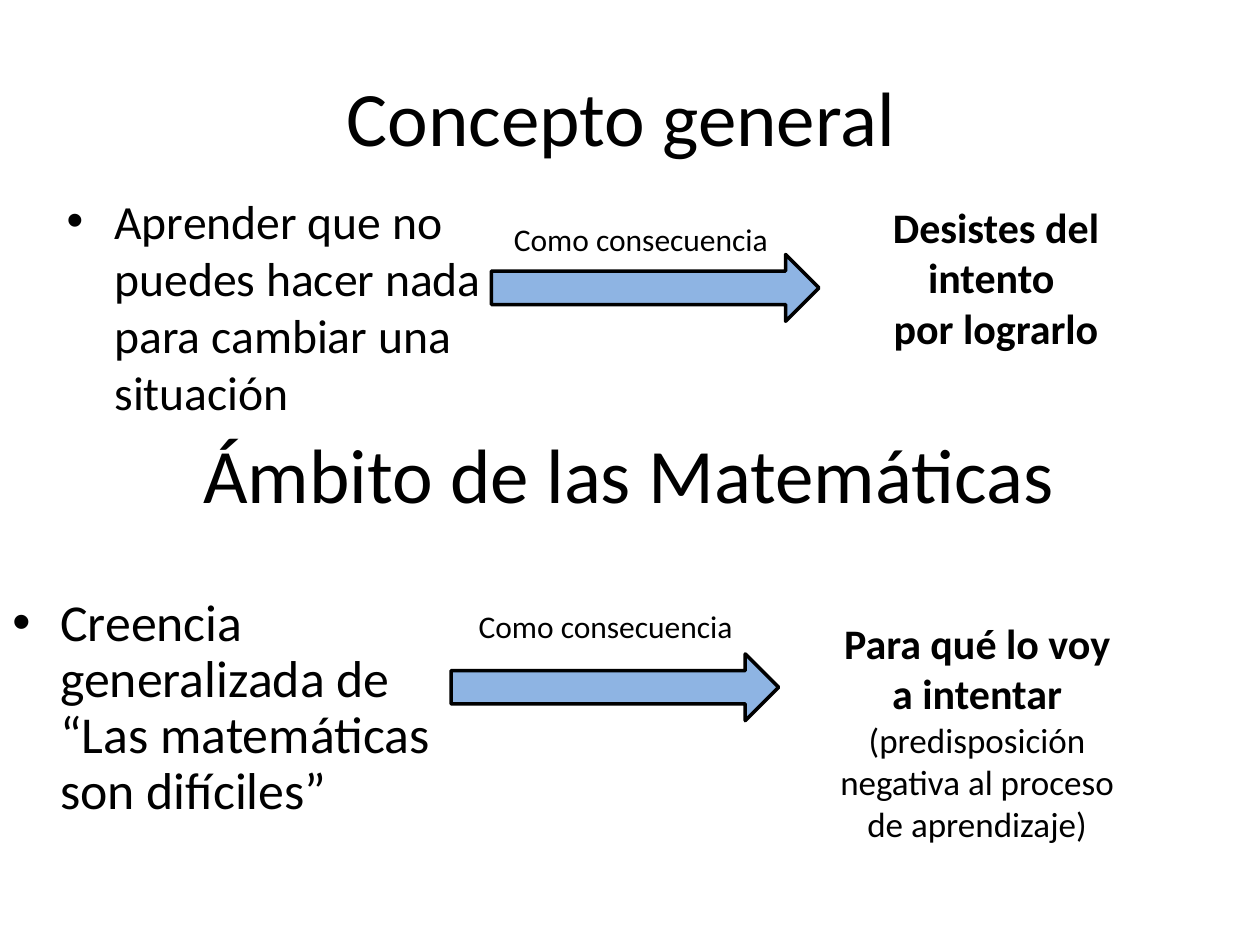
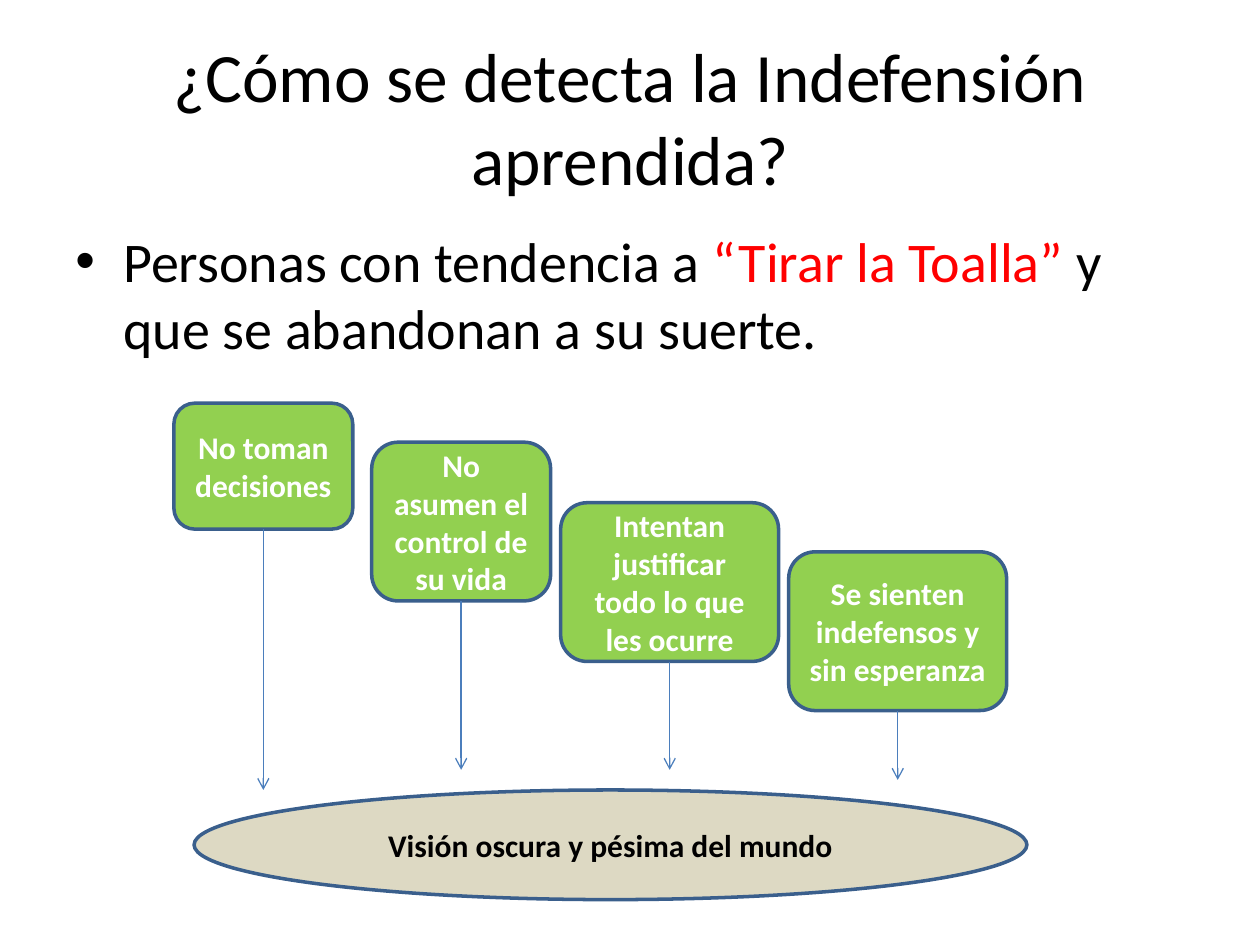
from lxml.etree import SubElement
from pptx import Presentation
from pptx.dml.color import RGBColor
from pptx.enum.shapes import MSO_CONNECTOR, MSO_SHAPE
from pptx.enum.text import MSO_ANCHOR, MSO_AUTO_SIZE, PP_ALIGN
from pptx.oxml.ns import qn
from pptx.util import Inches, Pt

BLACK, WHITE, RED = "000000", "FFFFFF", "FF0000"
BLUE, GREEN, SAND = "8EB4E3", "92D050", "DDD9C3"
EDGE, WIRE = "3A5F8C", "4B7EBC"


def color(code):
    return RGBColor.from_string(code)


def apply(item, **values):
    for name, value in values.items():
        setattr(item, name, value)


class Deck:
    """Holds the style and the current slide."""
    font = "Calibri"

    def __init__(self):
        self.file = Presentation()
        apply(self.file, slide_width=Inches(10), slide_height=Inches(7.5))

    def page(self):
        self.slide = self.file.slides.add_slide(self.file.slide_layouts[6])

    def fill_text(self, frame, lines, size, tint=BLACK, bold=False,
                  align=PP_ALIGN.CENTER):
        """Each line is a string or a list of (text, changed format) runs."""
        for i, line in enumerate(lines):
            para = frame.add_paragraph() if i else frame.paragraphs[0]
            para.alignment = align
            for text, change in [(line, {})] if isinstance(line, str) else line:
                run = para.add_run()
                run.text = text
                look = {"size": size, "bold": bold, "tint": tint} | change
                run.font.color.rgb = color(look.pop("tint"))
                look["size"] = Pt(look["size"])
                apply(run.font, name=self.font, **look)

    def text(self, at, lines, size, anchor=MSO_ANCHOR.TOP, wrap=True,
             grow=False, **look):
        frame = self.slide.shapes.add_textbox(*map(Inches, at)).text_frame
        fit = MSO_AUTO_SIZE.SHAPE_TO_FIT_TEXT if grow else MSO_AUTO_SIZE.NONE
        apply(frame, word_wrap=wrap, auto_size=fit, vertical_anchor=anchor)
        self.fill_text(frame, lines, size, **look)
        return frame

    def title(self, left, top, text, size=44):
        self.text((left, top, 9, 1.25), [text], size, MSO_ANCHOR.MIDDLE)

    def bullet(self, at, line, size, pitch=1.0):
        frame = self.text(at, [line], size, align=PP_ALIGN.LEFT)
        para = frame.paragraphs[0]
        apply(para, space_before=Pt(size * 0.2), line_spacing=pitch)
        props = para._p.get_or_add_pPr()
        props.set("marL", str(Inches(0.38)))
        props.set("indent", str(Inches(-0.38)))
        SubElement(props, qn("a:buFont"), typeface="Arial")
        SubElement(props, qn("a:buChar"), char="•")

    def label(self, left, top):
        self.text((left, top, 2.24, 0.4), ["Como consecuencia"], 18,
                  wrap=False, grow=True, align=PP_ALIGN.LEFT)

    def shape(self, kind, at, fill, edge, lines=(), **look):
        shape = self.slide.shapes.add_shape(kind, *map(Inches, at))
        shape.shadow.inherit = False
        shape.fill.solid()
        shape.fill.fore_color.rgb = color(fill)
        shape.line.color.rgb = color(edge)
        shape.line.width = Pt(2)
        shape.text_frame.vertical_anchor = MSO_ANCHOR.MIDDLE
        self.fill_text(shape.text_frame, lines, 18, bold=True, **look)

    def block(self, left, top):
        self.shape(MSO_SHAPE.RIGHT_ARROW, (left, top, 2.6, 0.53), BLUE, BLACK)

    def drop(self, x, top, end):
        wire = self.slide.shapes.add_connector(
            MSO_CONNECTOR.STRAIGHT, *map(Inches, (x, top, x, end)))
        wire.line.color.rgb = color(WIRE)
        wire.line.width = Pt(0.75)
        props = wire._element.spPr
        SubElement(props.find(qn("a:ln")), qn("a:tailEnd"), type="arrow")
        SubElement(props, qn("a:effectLst"))


deck = Deck()

# Slide 1: general concept, then the case of mathematics
deck.page()
deck.title(0.43, 0.29, "Concepto general")
deck.bullet((0.43, 1.47, 3.71, 1.92),
            "Aprender que no puedes hacer nada para cambiar una situación", 27.2)
deck.block(3.9, 2.02)
deck.label(3.98, 1.7)
deck.text((6.65, 1.55, 2.51, 1.31), ["Desistes del intento ", "por lograrlo"],
          24, grow=True, bold=True)

deck.title(0.49, 3.13, "Ámbito de las Matemáticas")
deck.bullet((0, 4.69, 3.98, 1.92),
            "Creencia generalizada de “Las matemáticas son difíciles”", 29.6, 0.9)
deck.block(3.58, 5.19)
deck.label(3.7, 4.77)
deck.text((6.5, 4.85, 2.51, 1.92),
          [[("Para qué lo voy a intentar ", {"bold": True}),
            ("(predisposición negativa al proceso de aprendizaje)",
             {"size": 20})]], 24, grow=True)

# Slide 2: signs that lead down to one view of the world
deck.page()
deck.title(0.5, 0.3, "¿Cómo se detecta la Indefensión aprendida?", 39.6)
deck.bullet((0.5, 1.75, 9, 1.21),
            [("Personas con tendencia a ", {}),
             ("“Tirar la Toalla” ", {"tint": RED}),
             ("y que se abandonan a su suerte.", {})], 32)

signs = [
    ((1.38, 3.2, 1.42, 1), 6.27, ["No toman", "decisiones "]),
    ((2.95, 3.51, 1.42, 1.26), 6.11, ["No asumen el control de su vida"]),
    ((4.45, 3.99, 1.73, 1.26), 6.11,
     ["Intentan justificar todo lo que les ocurre"]),
    ((6.26, 4.38, 1.73, 1.26), 6.19, ["Se sienten indefensos y sin esperanza"]),
]
for at, end, lines in signs:
    left, top, width, height = at
    deck.shape(MSO_SHAPE.ROUNDED_RECTANGLE, at, GREEN, EDGE, lines, tint=WHITE)
    deck.drop(left + width / 2, top + height, end)
deck.shape(MSO_SHAPE.OVAL, (1.54, 6.27, 6.61, 0.87), SAND, EDGE,
           ["Visión oscura y pésima del mundo"])

deck.file.save("out.pptx")
